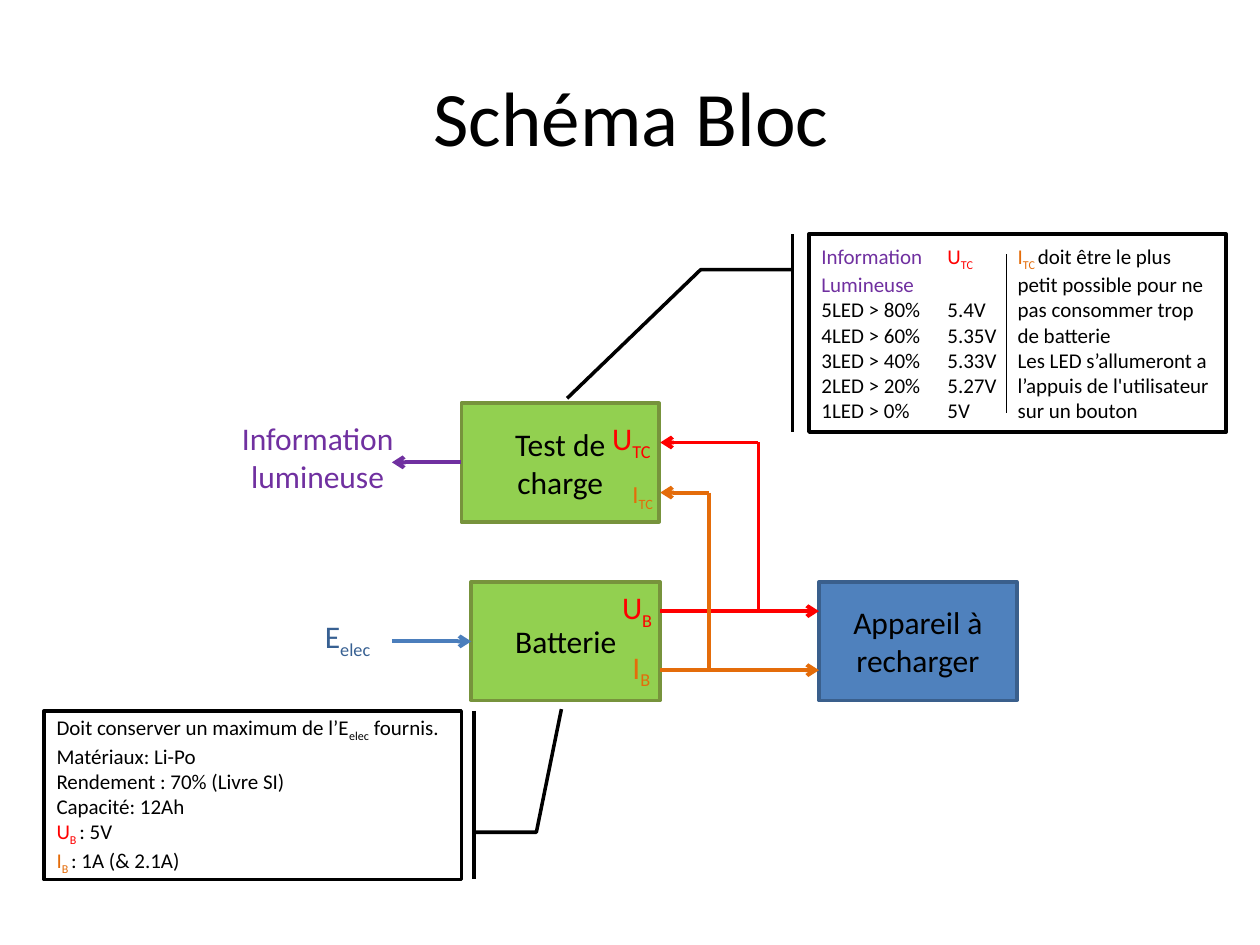
from lxml.etree import SubElement as Sub
from pptx import Presentation
from pptx.dml.color import RGBColor
from pptx.enum.shapes import MSO_CONNECTOR as Link, MSO_SHAPE as Shape
from pptx.enum.text import MSO_ANCHOR as Anchor, MSO_AUTO_SIZE as Fit, PP_ALIGN as Align
from pptx.oxml.ns import qn
from pptx.util import Cm, Pt

BLACK = RGBColor(0x00, 0x00, 0x00)
RED = RGBColor(0xFF, 0x00, 0x00)
ORANGE = RGBColor(0xE4, 0x6C, 0x0A)
PURPLE = RGBColor(0x70, 0x30, 0xA0)
NAVY = RGBColor(0x37, 0x60, 0x92)
BLUE = RGBColor(0x4B, 0x7E, 0xBC)
GREEN = RGBColor(0x92, 0xD0, 0x50)
OLIVE = RGBColor(0x77, 0x93, 0x3C)
AZURE = RGBColor(0x4F, 0x81, 0xBD)
STEEL = RGBColor(0x3A, 0x5F, 0x8C)

GREENS, BLUES = (GREEN, OLIVE), (AZURE, STEEL)
TEST_X, BAT_X, BOX_R, DEV_X = 9.3, 9.5, 13.31, 16.51
SIDE_X, I_X, U_X = 7.9, 14.3, 15.29
UB_Y, IB_Y, UTC_Y, ITC_Y = 12.32, 13.51, 8.92, 9.93

BLOCKS = [
    ("Batterie", (BAT_X, 11.73, 3.81, 2.39), GREENS),
    ("Test de charge", (TEST_X, 8.13, 3.99, 2.39), GREENS),
    ("Appareil à recharger", (DEV_X, 11.73, 3.99, 2.39), BLUES),
]
WIRES = [
    ((BOX_R, UB_Y), (DEV_X, UB_Y), RED, True),
    ((SIDE_X, 12.93), (BAT_X, 12.93), BLUE, True),
    ((BOX_R, IB_Y), (DEV_X, IB_Y), ORANGE, True),
    ((U_X, UB_Y), (U_X, UTC_Y), RED, False),
    ((U_X, UTC_Y), (BOX_R, UTC_Y), RED, True),
    ((I_X, ITC_Y), (BOX_R, ITC_Y), ORANGE, True),
    ((I_X, ITC_Y), (I_X, IB_Y), ORANGE, False),
    ((TEST_X, 9.32), (SIDE_X, 9.32), PURPLE, True),
]
LABELS = [
    ([[("E", NAVY, "elec")]], (6.3, 12.32, 1.6, 1.02), 18, Align.LEFT),
    ([[("U", RED, "TC")]], (12.09, 8.33, 1.4, 1.02), 18, Align.LEFT),
    ([[("I", ORANGE, "TC")]], (12.5, 9.53, 0.99, 0.86), 14, Align.LEFT),
    ([[("U", RED, "B")]], (12.29, 11.73, 1.19, 1.02), 18, Align.LEFT),
    ([[("I", ORANGE, "B")]], (12.5, 12.93, 0.99, 1.02), 18, Align.LEFT),
    ([[("Information", PURPLE, "")], [("lumineuse", PURPLE, "")]],
     (4.5, 8.33, 3.81, 1.8), 18, Align.CENTER),
]
LEVELS = ["5LED > 80%\t5.4V", "4LED > 60%\t5.35V", "3LED > 40%\t5.33V",
          "2LED > 20%\t5.27V", "1LED > 0%\t5V"]
TEST_NOTE = [
    [("Information\t", PURPLE, ""), ("U", RED, "TC")],
    [("Lumineuse", PURPLE, "")],
    *[[(level, BLACK, "")] for level in LEVELS],
    [("I", ORANGE, "TC "),
     ("doit être le plus petit possible pour ne pas consommer trop de batterie", BLACK, "")],
    [("Les LED s’allumeront a l’appuis de l'utilisateur sur un bouton", BLACK, "")],
]
BAT_NOTE = [
    [("Doit conserver un maximum de l’E", BLACK, "elec"), (" fournis.", BLACK, "")],
    [("Matériaux: Li-Po", BLACK, "")],
    [("Rendement : 70% (Livre SI)", BLACK, "")],
    [("Capacité: 12Ah", BLACK, "")],
    [("U", RED, "B "), (": 5V", BLACK, "")],
    [("I", ORANGE, "B "), (": 1A (& 2.1A)", BLACK, "")],
]
NOTES = [
    (TEST_NOTE, (16.31, 4.72, 8.41, 3.99),
     (0.18, -0.04, 0.18, -0.26, 0.83, -0.58), 2),
    (BAT_NOTE, (0.89, 14.33, 8.41, 3.4),
     (0.72, 1.03, 0.72, 1.18, -0.01, 1.24), 1),
]


def apply(item, values):
    for name, value in values.items():
        setattr(item, name, value)


def cms(box):
    return [Cm(n) for n in box]


def add_run(para, text, size, color, sub=False):
    run = para.add_run()
    run.text = text
    apply(run.font, {"name": "Calibri", "size": Pt(size)})
    run.font.color.rgb = color
    if sub:
        run._r.get_or_add_rPr().set("baseline", "-25000")


def write(frame, paras, size, align, anchor=Anchor.MIDDLE, fit=Fit.NONE):
    apply(frame, {"word_wrap": True, "vertical_anchor": anchor, "auto_size": fit})
    for i, parts in enumerate(paras):
        para = frame.add_paragraph() if i else frame.paragraphs[0]
        para.alignment = align
        for text, color, sub in parts:
            add_run(para, text, size, color)
            if sub:
                add_run(para, sub, size, color, True)


def add_form(slide, kind, box, edge):
    form = slide.shapes.add_shape(kind, *cms(box))
    form.shadow.inherit = False
    form.line.color.rgb = edge
    form.line.width = Pt(2)
    return form


def add_block(slide, text, box, tones):
    fill, edge = tones
    block = add_form(slide, Shape.RECTANGLE, box, edge)
    block.fill.solid()
    block.fill.fore_color.rgb = fill
    write(block.text_frame, [[(text, BLACK, "")]], 18, Align.CENTER)


def add_wire(slide, start, end, color, arrow=False, width=2.25):
    wire = slide.shapes.add_connector(Link.STRAIGHT, *cms(start + end))
    wire.line.color.rgb = color
    wire.line.width = Pt(width)
    if arrow:
        Sub(wire.line._get_or_add_ln(), qn("a:tailEnd"), type="arrow")
    Sub(wire._element.spPr, qn("a:effectLst"))


def add_label(slide, paras, box, size, align):
    frame = slide.shapes.add_textbox(*cms(box)).text_frame
    write(frame, paras, size, align, Anchor.TOP, Fit.SHAPE_TO_FIT_TEXT)


def add_note(slide, paras, box, bends, cols):
    note = add_form(slide, Shape.LINE_CALLOUT_2_BORDER_AND_ACCENT_BAR, box, BLACK)
    note.fill.background()
    for i, bend in enumerate(bends):
        note.adjustments[i] = bend
    write(note.text_frame, paras, 12, Align.LEFT)
    note.text_frame._txBody.bodyPr.set("numCol", str(cols))


def set_title(slide):
    title = slide.shapes.title
    names = ("left", "top", "width", "height")
    apply(title, dict(zip(names, cms((1.3, 0.74, 22.86, 3.18)))))
    write(title.text_frame, [[("Schéma Bloc", BLACK, "")]], 44, Align.CENTER)


def main():
    deck = Presentation()
    apply(deck, {"slide_width": Cm(25.4), "slide_height": Cm(19.05)})
    slide = deck.slides.add_slide(deck.slide_layouts[5])
    set_title(slide)
    for block in BLOCKS:
        add_block(slide, *block)
    for wire in WIRES:
        add_wire(slide, *wire)
    for label in LABELS:
        add_label(slide, *label)
    for note in NOTES:
        add_note(slide, *note)
    add_wire(slide, (20.29, 5.13), (20.29, 8.33), BLACK, width=1)
    deck.save("out.pptx")


if __name__ == "__main__":
    main()
